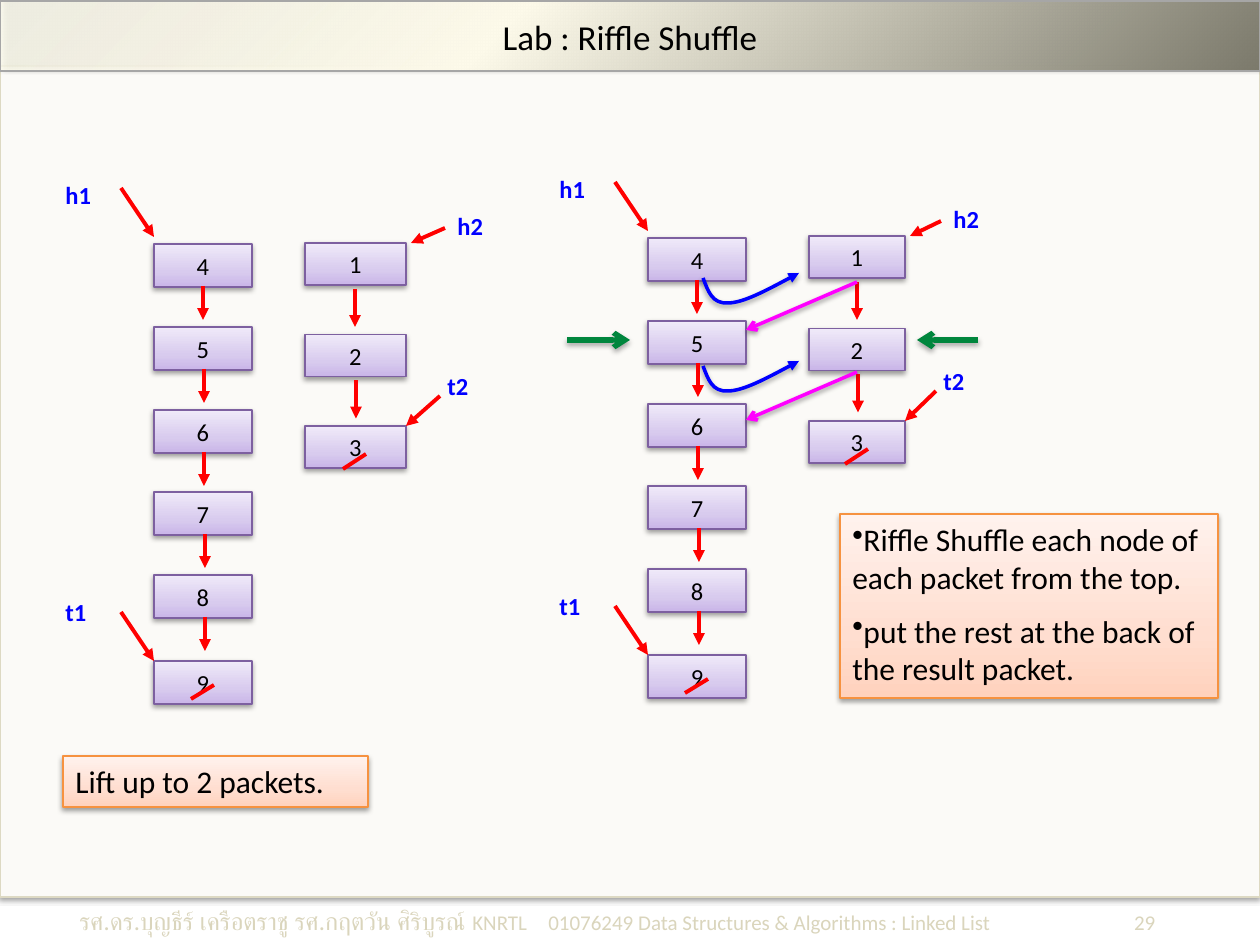
from lxml import etree
from pptx import Presentation
from pptx.dml.color import RGBColor
from pptx.enum.shapes import MSO_CONNECTOR, MSO_SHAPE
from pptx.enum.text import MSO_ANCHOR, PP_ALIGN
from pptx.oxml.ns import qn
from pptx.util import Pt

SCALE = 914400 / 126  # EMU per pixel

THEME = {
    "font": "Calibri", "text": "000000", "label": "0000FF", "footer": "DAD5BC",
    "panel": "FBFAF7", "panel_line": "DDD9C3", "title_line": "A6A6A6",
    "node_line": "7D60A0", "note_line": "F69240",
    "link": "FF0000", "cursor": "00863D", "weave": "0000FF", "back": "FF00FF",
    "node_fill": ([(0, "C9B5E8", 100), (35, "D8CBEE", 100), (100, "F0EAF9", 100)], 270),
    "note_fill": ([(0, "FFD2BD", 100), (35, "FFDED0", 100), (100, "FFF2ED", 100)], 270),
    "title_fill": ([(0, "FEFCEE", 79), (40, "FDFAEA", 100), (100, "7B796B", 100)], 45),
    "shadow": (38, 3.1, 1.6, 90),       # opacity %, blur pt, distance pt, angle
    "cursor_shadow": (35, 3.1, 1.8, 90),
    "title_shadow": (40, 4, 3, 315),
    "title_size": 20, "note_size": 18, "node_size": 14,
}

TITLE = "Lab : Riffle Shuffle"
FOOTER = [("รศ.ดร.บุญธีร์ เครือตราชู รศ.กฤตวัน ศิริบูรณ์", 14),
          ("\tKNRTL\t01076249 Data Structures & Algorithms : Linked List", 12),
          ("\t", 16), ("29", 12)]
FOOTER_TABS = [(393, "l"), (469, "l"), (1076, "r")]
LIFT_NOTE = ["Lift up to 2 packets."]
RIFFLE_NOTE = ["Riffle Shuffle each node of each packet from the top.",
               "put the rest at the back of the result packet."]

LONG_PACKET = "456789"
LONG_STEPS = [0, 83, 166, 248, 331, 417]
LONG_ORIGINS = [(154, 244), (648, 238)]
SHORT_PACKET = "123"
# left, top, width, pitch, distance of the pointer labels from the packet
SHORT_PACKETS = [(305, 243, 101, 91.5, 39), (809, 236, 96, 92.5, 36)]

CURSORS = [((567, 340), (630, 340)), ((978, 340), (917, 340))]
BACK_LINKS = [((857, 282), (746, 330)), ((857, 372), (746, 420))]
WEAVE_TOPS = [273, 361]
WEAVE_CURVE = [(703, 5), (708, 18), (712, 31), (728, 30), (743, 30), (771, 15), (799, 0)]

prs = Presentation()
prs.slide_width, prs.slide_height = round(1260 * SCALE), round(945 * SCALE)
slide = prs.slides.add_slide(prs.slide_layouts[6])
shapes = slide.shapes


def emu(*pixels):
    """Turn pixel lengths into EMU."""
    return [round(p * SCALE) for p in pixels]


def sub(parent, tag, **attrs):
    """Append a drawing element with the given attributes."""
    return etree.SubElement(parent, qn("a:" + tag), {k: str(v) for k, v in attrs.items()})


def add_color(parent, rgb, opacity):
    """Append a colour with an opacity in percent."""
    sub(sub(parent, "srgbClr", val=rgb), "alpha", val=opacity * 1000)


def set_gradient(shape, gradient):
    """Fill a shape with a linear gradient."""
    stops, angle = gradient
    shape.fill.background()
    empty = shape._element.spPr.find(qn("a:noFill"))
    grad = etree.Element(qn("a:gradFill"), rotWithShape="1")
    stop_list = sub(grad, "gsLst")
    for pos, rgb, opacity in stops:
        add_color(sub(stop_list, "gs", pos=pos * 1000), rgb, opacity)
    sub(grad, "lin", ang=angle * 60000, scaled=0)
    empty.getparent().replace(empty, grad)


def set_shadow(shape, shadow):
    """Replace the inherited shadow by the given one, or by none."""
    props = shape._element.spPr
    effects = props.find(qn("a:effectLst"))
    if effects is None:
        effects = sub(props, "effectLst")
    if shadow:
        opacity, blur, dist, angle = shadow
        outer = sub(effects, "outerShdw", blurRad=round(blur * 12700),
                    dist=round(dist * 12700), dir=angle * 60000, rotWithShape=0)
        add_color(outer, "000000", opacity)


def set_line(shape, color, width, head=None):
    """Set the outline and an optional arrowhead at its end."""
    shape.line.color.rgb = RGBColor.from_string(color)
    shape.line.width = Pt(width)
    if head:
        sub(shape.line._ln, "tailEnd", type=head)


def add_run(paragraph, text, size, color, bold=False):
    """Append a run of text in the slide font."""
    run = paragraph.add_run()
    run.text = text
    run.font.name, run.font.size, run.font.bold = THEME["font"], Pt(size), bold
    run.font.color.rgb = RGBColor.from_string(color)


def box(x, y, w, h, fill, line, shadow="shadow"):
    """Draw a rectangle; fill, line and shadow are theme keys."""
    shape = shapes.add_shape(MSO_SHAPE.RECTANGLE, *emu(x, y, w, h))
    shape.shadow.inherit = False
    if isinstance(THEME[fill], str):
        shape.fill.solid()
        shape.fill.fore_color.rgb = RGBColor.from_string(THEME[fill])
    else:
        set_gradient(shape, THEME[fill])
    set_line(shape, THEME[line], 0.75)
    set_shadow(shape, THEME[shadow])
    return shape


def centred_text(shape, text, size):
    """Put one centred line of text in a shape."""
    frame = shape.text_frame
    frame.vertical_anchor = MSO_ANCHOR.MIDDLE
    frame.paragraphs[0].alignment = PP_ALIGN.CENTER
    add_run(frame.paragraphs[0], text, size, THEME["text"])


def note(x, y, w, h, lines, bullet=None):
    """Draw an orange note with one paragraph per line."""
    frame = box(x, y, w, h, "note_fill", "note_line").text_frame
    frame.word_wrap, frame.vertical_anchor = True, MSO_ANCHOR.TOP
    for i, line in enumerate(lines):
        para = frame.add_paragraph() if i else frame.paragraphs[0]
        para.alignment = PP_ALIGN.LEFT
        para.space_before = Pt(9 if i else 0)
        if bullet:
            sub(para._p.get_or_add_pPr(), "buChar", char=bullet)
        add_run(para, line, THEME["note_size"], THEME["text"])


def text_box(x, y, w, h):
    """Add a wrapping text box and return its first paragraph."""
    frame = shapes.add_textbox(*emu(x, y, w, h)).text_frame
    frame.word_wrap = True
    return frame.paragraphs[0]


def line(start, end, color="link", width=2.25, head="triangle", shadow=None):
    """Draw a straight line or arrow."""
    link = shapes.add_connector(MSO_CONNECTOR.STRAIGHT, *emu(*start, *end))
    set_line(link, THEME[color], width, head)
    set_shadow(link, THEME[shadow] if shadow else None)


def pointer(name, label_at, start, end):
    """Draw a named pointer with its arrow."""
    line(start, end)
    add_run(text_box(*label_at, 70, 43), name, THEME["node_size"], THEME["label"], True)


def packet(values, x, tops, w, h, link_gap, link_length, drift, slash):
    """Draw a linked list: nodes, links and the end mark."""
    middle = x + w // 2
    for value, top in zip(values, tops):
        centred_text(box(x, top, w, h, "node_fill", "node_line"), value, THEME["node_size"])
    for i, top in enumerate(tops[:-1]):
        link_x, link_y = middle + drift(i), top + link_gap
        line((link_x, link_y), (link_x, link_y + link_length))
    low, high = slash
    line((middle - 12, tops[-1] + low), (middle + 11, tops[-1] + high), head=None)


def long_packet(x, y):
    """Draw the six-node packet with h1 and t1."""
    tops = [y + step for step in LONG_STEPS]
    packet(LONG_PACKET, x, tops, 98, 43, 42, 34, lambda i: (i + 1) // 2, (38, 24))
    for name, top, lift in (("h1", tops[0], 7), ("t1", tops[-1], 0)):
        pointer(name, (x - 101, top - 70), (x - 33, top - 49 - lift), (x, top - lift))


def short_packet(x, y, w, pitch, reach):
    """Draw the three-node packet with h2 and t2."""
    tops = [y + i * pitch for i in range(len(SHORT_PACKET))]
    packet(SHORT_PACKET, x, tops, w, 42, 46, 38, lambda i: i, (43, 28))
    right, last = x + w, tops[-1]
    pointer("h2", (right + reach, y - 38), (right + reach, y - 15), (right + 5, y))
    pointer("t2", (right + reach - 10, last - 61), (right + reach - 5, last - 30), (right, last))


def weave(top):
    """Draw a curved arrow from the long packet to the short one."""
    points = [(x, top + dy) for x, dy in WEAVE_CURVE]
    builder = shapes.build_freeform(*points[0], scale=SCALE)
    builder.add_line_segments(points[1:], close=False)
    curve = builder.convert_to_shape()
    path = next(curve._element.iter(qn("a:path")))
    corners = [step[0] for step in path.findall(qn("a:lnTo"))]
    for step in path.findall(qn("a:lnTo")):
        path.remove(step)
    for i in range(0, len(corners), 3):
        sub(path, "cubicBezTo").extend(corners[i:i + 3])
    curve.shadow.inherit = False
    curve.fill.background()
    set_line(curve, THEME["weave"], 2, "triangle")
    set_shadow(curve, THEME["shadow"])


box(0, 66, 1260, 831, "panel", "panel_line")
footer = text_box(67, 896, 1131, 47)
tabs = sub(footer._p.get_or_add_pPr(), "tabLst")
for pos, align in FOOTER_TABS:
    sub(tabs, "tab", pos=emu(pos)[0], algn=align)
for words, size in FOOTER:
    add_run(footer, words, size, THEME["footer"])

for origin in LONG_ORIGINS:
    long_packet(*origin)
for spec in SHORT_PACKETS:
    short_packet(*spec)
for ends in CURSORS:
    line(*ends, "cursor", 3, "arrow", "cursor_shadow")
for top in WEAVE_TOPS:
    weave(top)
for ends in BACK_LINKS:
    line(*ends, "back", 2, "arrow", "shadow")

note(63, 756, 305, 51, LIFT_NOTE)
centred_text(box(0, 1, 1260, 70, "title_fill", "title_line", "title_shadow"),
             TITLE, THEME["title_size"])
note(840, 514, 378, 184, RIFFLE_NOTE, "•")
prs.save("out.pptx")
